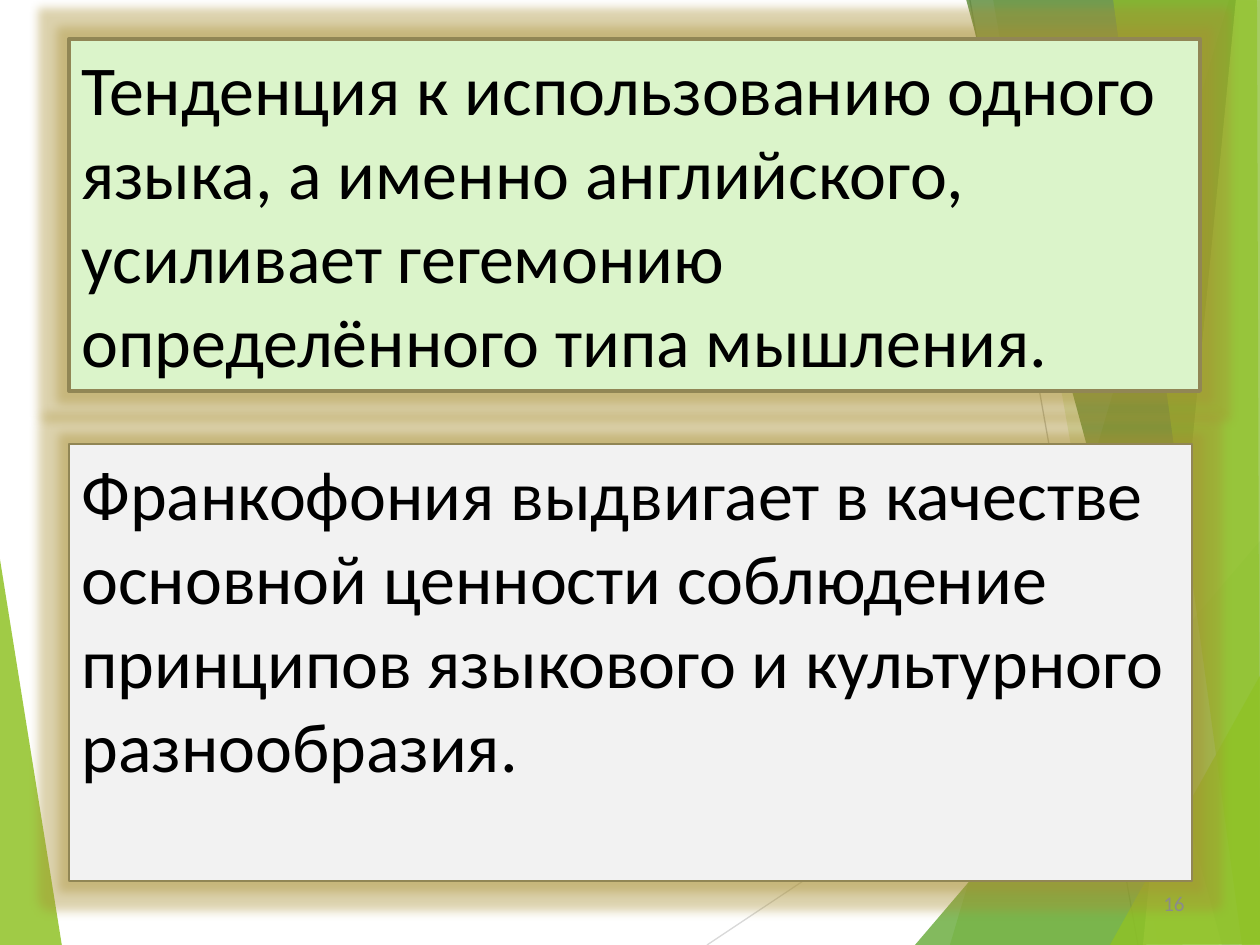
from lxml import etree
from pptx import Presentation
from pptx.dml.color import RGBColor
from pptx.enum.shapes import MSO_CONNECTOR, MSO_SHAPE
from pptx.enum.text import MSO_ANCHOR, PP_ALIGN
from pptx.oxml.ns import qn
from pptx.util import Inches, Pt

STRAIGHT = MSO_CONNECTOR.STRAIGHT
RECTANGLE = MSO_SHAPE.RECTANGLE
TOP, MIDDLE = MSO_ANCHOR.TOP, MSO_ANCHOR.MIDDLE
LEFT, RIGHT = PP_ALIGN.LEFT, PP_ALIGN.RIGHT

PX = Inches(1) / 126
WIDTH, HEIGHT = 1260, 945
COLORS = {
    "lime": "90C226", "green": "54A021", "forest": "3F7819", "pale": "C0E474",
    "light_line": "D9D9D9", "grey_line": "BFBFBF", "border": "918655",
    "mint": "DBF4CA", "grey": "F2F2F2", "glow": "A88F32",
    "text": "000000", "number": "8B8B8B",
}

# Theme decoration, back to front: corners, colour, opacity in percent
LEFT_FACET = ([(-1, 553), (62, 946), (-1, 945)], "lime", 85)
RIGHT_FACETS = [
    ([(1229, 0), (950, 945), (1262, 946), (1261, 1)], "lime", 30),
    ([(993, -1), (1158, 945), (1261, 945), (1261, -1)], "lime", 20),
    ([(915, 945), (1260, 541), (1261, 945)], "green", 72),
    ([(966, -1), (1222, 945), (1261, 944), (1261, -1)], "forest", 70),
    ([(1236, -1), (1143, 945), (1261, 945), (1260, -1)], "pale", 70),
    ([(1113, -1), (1242, 945), (1260, 945), (1257, -1)], "lime", 65),
    ([(1110, 945), (1261, 674), (1261, 944)], "lime", 80),
]
RAYS = [((707, 945, 1261, 576), "light_line"), ((970, 0, 1138, 945), "grey_line")]

# Statements: place, fill, border width, wording
STATEMENTS = [
    ((69, 39, 1131, 352), "mint", 2.25,
     "Тенденция к использованию одного языка, а именно английского, "
     "усиливает гегемонию определённого типа мышления."),
    ((69, 444, 1123, 437), "grey", 1.5,
     "Франкофония выдвигает в качестве основной ценности соблюдение "
     "принципов языкового и культурного разнообразия."),
]


def emu(*lengths):
    return [round(length * PX) for length in lengths]


def color(name):
    return RGBColor.from_string(COLORS[name])


def set_opacity(color_element, percent):
    etree.SubElement(color_element, qn("a:alpha")).set("val", str(percent * 1000))


def add_facet(slide, points, fill, opacity):
    builder = slide.shapes.build_freeform(*points[0], scale=PX)
    builder.add_line_segments(points[1:], close=True)
    shape = builder.convert_to_shape()
    shape.shadow.inherit = False
    shape.fill.solid()
    shape.fill.fore_color.rgb = color(fill)
    shape.line.fill.background()
    set_opacity(shape._element.spPr.find(qn("a:solidFill"))[0], opacity)


def add_ray(slide, ends, line):
    connector = slide.shapes.add_connector(STRAIGHT, *emu(*ends))
    connector.line.color.rgb = color(line)
    connector.line.width = Pt(0.75)
    etree.SubElement(connector._element.spPr, qn("a:effectLst"))


def add_glow(shape, radius):
    effects = shape._element.spPr.find(qn("a:effectLst"))
    glow = etree.SubElement(effects, qn("a:glow"), rad=str(Pt(radius)))
    set_opacity(etree.SubElement(glow, qn("a:srgbClr"), val=COLORS["glow"]), 40)


def write_text(shape, text, size, font_color, align, anchor):
    frame = shape.text_frame
    for name, value in {"word_wrap": True, "vertical_anchor": anchor}.items():
        setattr(frame, name, value)
    paragraph = frame.paragraphs[0]
    paragraph.alignment = align
    run = paragraph.add_run()
    run.text = text
    for name, value in {"name": "Calibri", "size": Pt(size)}.items():
        setattr(run.font, name, value)
    run.font.color.rgb = color(font_color)


def add_statement(slide, place, fill, border, text):
    shape = slide.shapes.add_shape(RECTANGLE, *emu(*place))
    shape.shadow.inherit = False
    shape.fill.solid()
    shape.fill.fore_color.rgb = color(fill)
    shape.line.color.rgb = color("border")
    shape.line.width = Pt(border)
    add_glow(shape, 11)
    write_text(shape, text, 40, "text", LEFT, TOP)


def add_slide_number(slide, number):
    box = slide.shapes.add_textbox(*emu(1097, 878, 100, 50))
    write_text(box, number, 12, "number", RIGHT, MIDDLE)


def main():
    presentation = Presentation()
    presentation.slide_width, presentation.slide_height = emu(WIDTH, HEIGHT)
    slide = presentation.slides.add_slide(presentation.slide_layouts[6])

    # Background decoration
    add_facet(slide, *LEFT_FACET)
    for ray in RAYS:
        add_ray(slide, *ray)
    for facet in RIGHT_FACETS:
        add_facet(slide, *facet)

    # Content
    for statement in STATEMENTS:
        add_statement(slide, *statement)
    add_slide_number(slide, "16")

    presentation.save("out.pptx")


if __name__ == "__main__":
    main()
